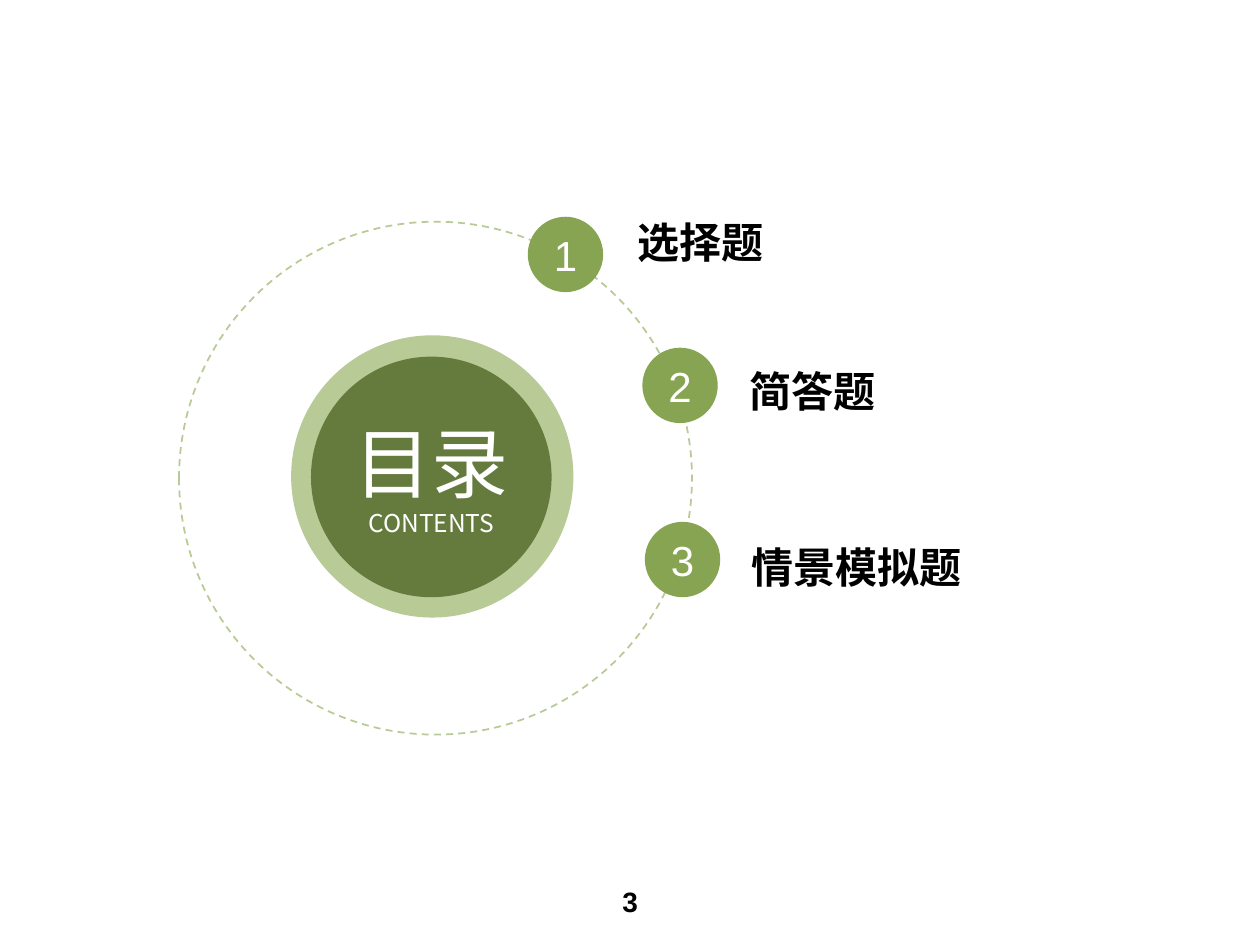
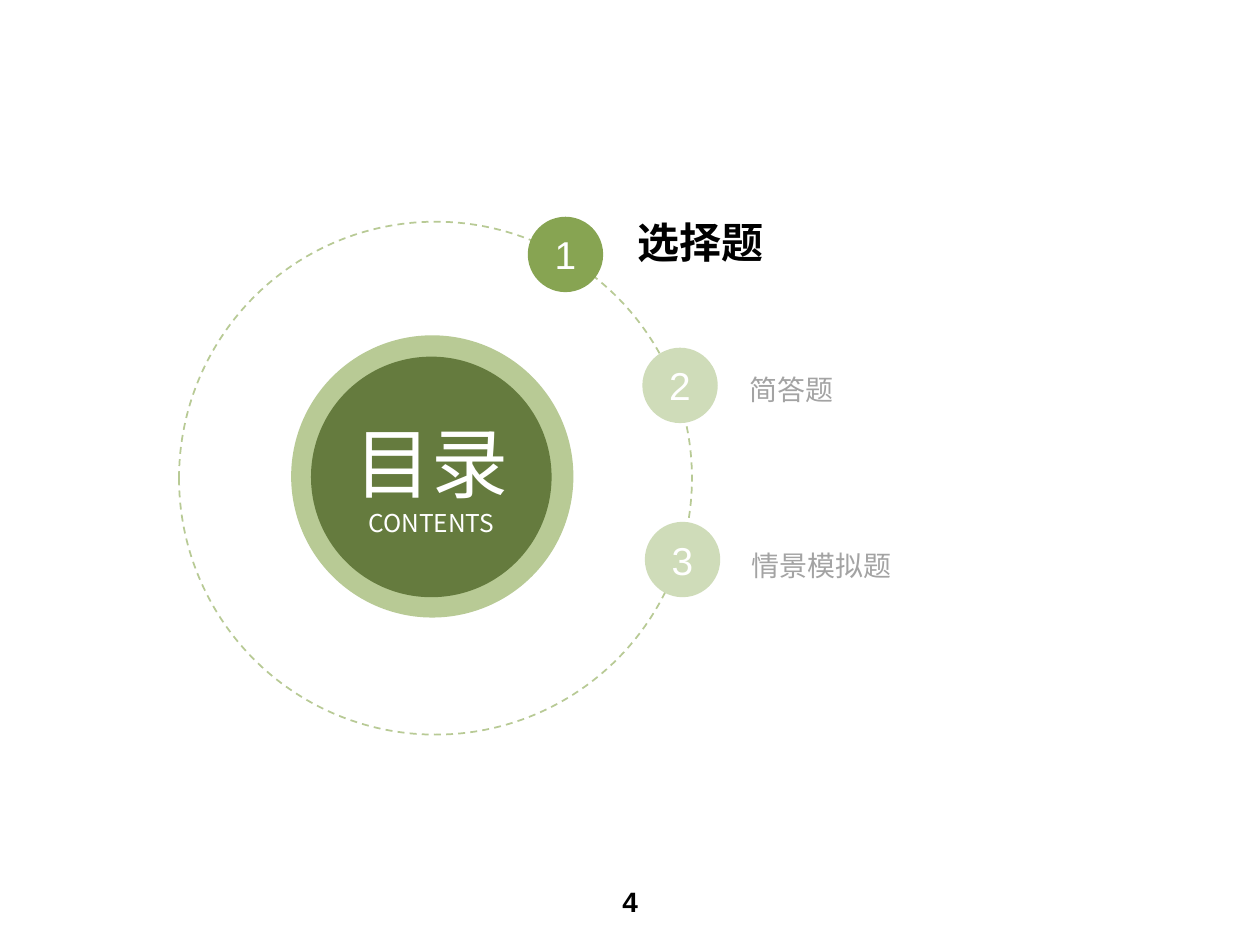
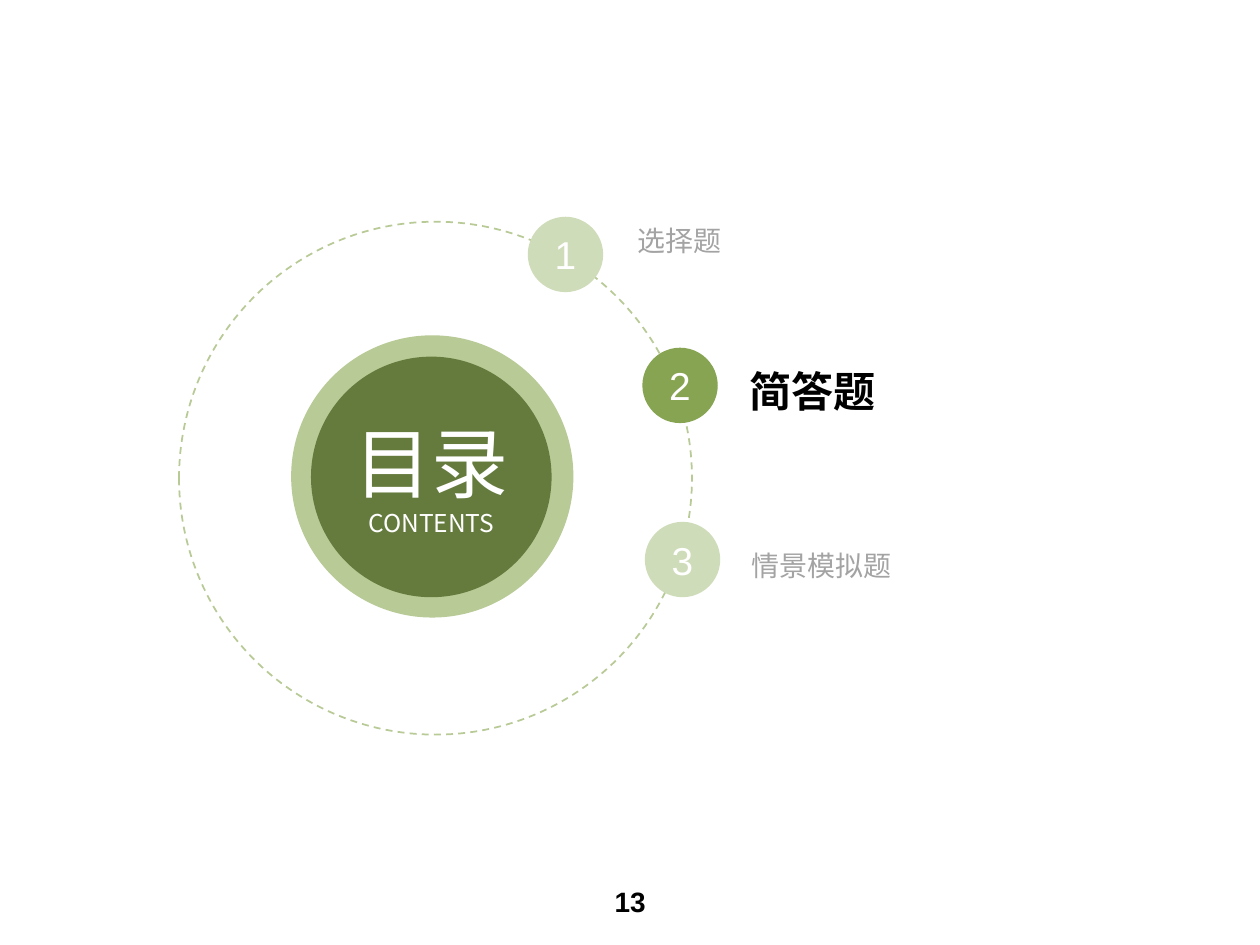
"""Build three contents slides: an overview and two that stress one section."""
from lxml import etree
from pptx import Presentation
from pptx.dml.color import RGBColor
from pptx.enum.dml import MSO_LINE
from pptx.enum.shapes import MSO_SHAPE
from pptx.enum.text import MSO_ANCHOR, PP_ALIGN
from pptx.oxml.ns import qn
from pptx.util import Cm, Pt

OVAL = MSO_SHAPE.OVAL
DASH = MSO_LINE.DASH
MIDDLE = MSO_ANCHOR.MIDDLE
LEFT, CENTER = PP_ALIGN.LEFT, PP_ALIGN.CENTER

DARK = RGBColor(0x65, 0x7B, 0x3E)
GREEN = RGBColor(0x87, 0xA4, 0x52)
LIGHT = RGBColor(0xB8, 0xCA, 0x95)
PALE = RGBColor(0xCF, 0xDC, 0xB9)
GREY = RGBColor(0xA3, 0xA3, 0xA3)
BLACK = RGBColor(0, 0, 0)
WHITE = RGBColor(255, 255, 255)
LATIN, HAN = "Arial", "Noto Sans CJK SC"

TITLE = [("目录", 44), ("CONTENTS", 14)]
TOPICS = [
    {"name": "选择题", "dot": (10.64, 4.37), "label": (12.75, 3.71, 9.93)},
    {"name": "简答题", "dot": (12.95, 7.01), "label": (15.01, 6.71, 8.28)},
    {"name": "情景模拟题", "dot": (13, 10.52), "label": (15.06, 10.26, 8.38)},
]
SLIDES = [
    {"page": 3, "active": (0, 1, 2), "digit": 24},
    {"page": 4, "active": (0,), "digit": 22.2},
    {"page": 13, "active": (1,), "digit": 22.2},
]
HALO = (5.87, 6.76, 5.69)
RING = (3.61, 4.47, 10.34)
CORE = (6.27, 7.19, 4.85)
DOT, TALL = 1.52, 2.13
FOOTER = (8.41, 17.65, 8.59, 1.02)
PAD = (0.25, 0.13, 0.25, 0.13)


def write(shape, lines, color=BLACK, font=LATIN, bold=False, align=CENTER,
          pad=PAD, space=None):
    """Fill a shape with (text, size) lines in one format."""
    frame = shape.text_frame
    frame.word_wrap = True
    frame.vertical_anchor = MIDDLE
    (frame.margin_left, frame.margin_top,
     frame.margin_right, frame.margin_bottom) = map(Cm, pad)
    for i, (text, size) in enumerate(lines):
        para = frame.add_paragraph() if i else frame.paragraphs[0]
        para.alignment = align
        if space:
            para.line_spacing = space
        run = para.add_run()
        run.text = text
        run.font.size = Pt(size)
        run.font.bold = bold
        run.font.color.rgb = color
        run.font.name = font
        han = etree.SubElement(run.font._element, qn("a:ea"))
        han.set("typeface", HAN)


def circle(slide, left, top, size, fill=None):
    """Draw a filled disc, or a dashed ring when no fill is given."""
    shape = slide.shapes.add_shape(OVAL, Cm(left), Cm(top), Cm(size), Cm(size))
    shape.shadow.inherit = False
    if fill is None:
        shape.fill.background()
        shape.line.color.rgb = LIGHT
        shape.line.width = Pt(1)
        shape.line.dash_style = DASH
    else:
        shape.fill.solid()
        shape.fill.fore_color.rgb = fill
        shape.line.fill.background()
    return shape


def box(slide, *place):
    """Add a text box at a place given in centimetres."""
    return slide.shapes.add_textbox(*map(Cm, place))


def build(deck, page, active, digit):
    """Add one contents slide with its active topics stressed."""
    slide = deck.slides.add_slide(deck.slide_layouts[6])
    circle(slide, *HALO, fill=LIGHT)
    circle(slide, *RING)
    core = circle(slide, *CORE, fill=DARK)
    write(core, TITLE, color=WHITE, font=HAN, pad=(0, 0, 0, 0))
    for i, topic in enumerate(TOPICS):
        live = i in active
        label = box(slide, *topic["label"], TALL)
        write(label, [(topic["name"], 24 if live else 16)],
              color=BLACK if live else GREY, bold=live, align=LEFT,
              pad=(0.1, 0, 0, 0), space=1.2)
    for i, topic in enumerate(TOPICS):
        dot = circle(slide, *topic["dot"], DOT,
                     fill=GREEN if i in active else PALE)
        write(dot, [(str(i + 1), digit)], color=WHITE)
    write(box(slide, *FOOTER), [(str(page), 16)], bold=True)


deck = Presentation()
deck.slide_width, deck.slide_height = Cm(25.4), Cm(19.05)
for item in SLIDES:
    build(deck, **item)
deck.save("out.pptx")
